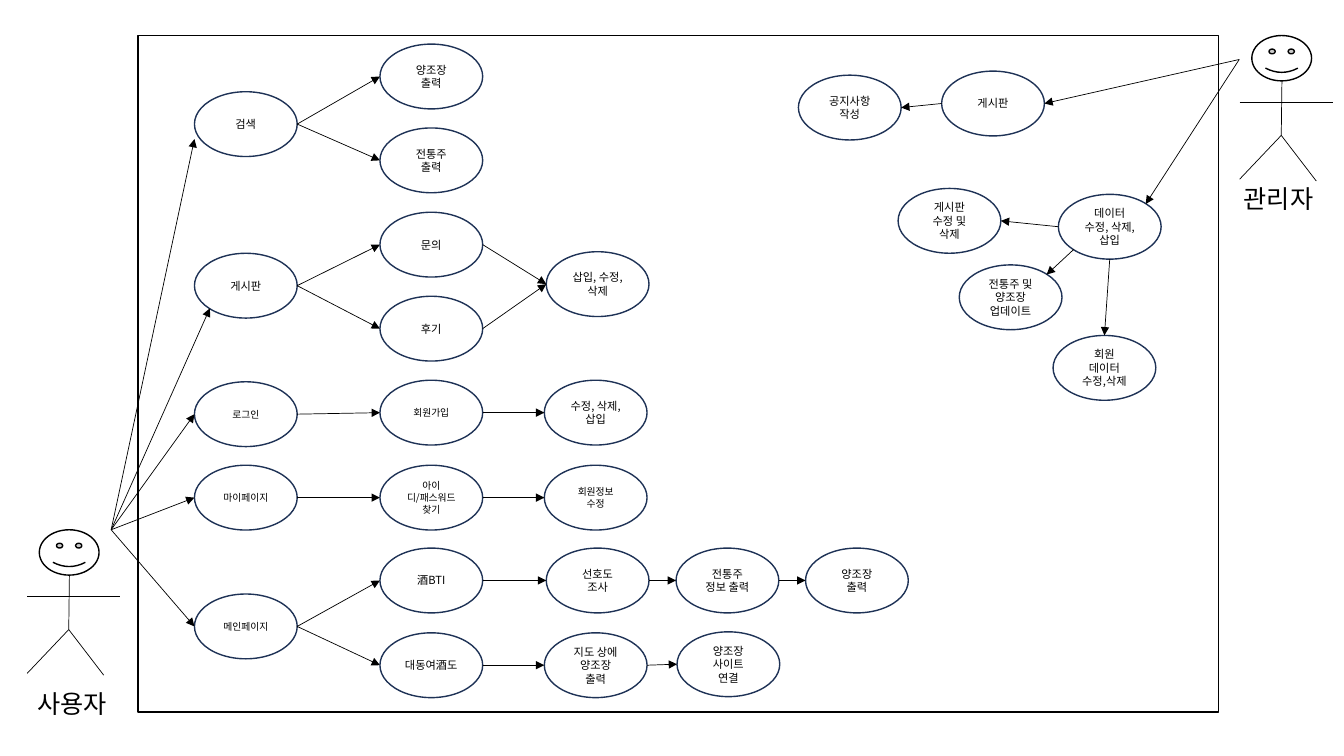
from dataclasses import dataclass

from lxml.etree import SubElement
from pptx import Presentation
from pptx.dml.color import RGBColor
from pptx.enum.shapes import MSO_CONNECTOR as Connector, MSO_SHAPE as Shape
from pptx.enum.text import MSO_ANCHOR as Anchor, MSO_AUTO_SIZE as AutoSize, PP_ALIGN as Align
from pptx.oxml.ns import qn
from pptx.util import Pt


@dataclass(frozen=True)
class Theme:
    """Colours, font, type sizes and line weights."""
    ink: RGBColor = RGBColor(0x00, 0x00, 0x00)
    navy: RGBColor = RGBColor(0x1E, 0x32, 0x56)
    paper: RGBColor = RGBColor(0xFF, 0xFF, 0xFF)
    font: str = "Noto Sans CJK KR"
    actor: int = 18
    case: int = 8
    small: int = 7
    outline: float = 1
    link: float = 0.5


theme = Theme()
OVAL_W, OVAL_H = 73.4, 46.3

deck = Presentation()
deck.slide_width, deck.slide_height = Pt(960), Pt(540)
page = deck.slides.add_slide(deck.slide_layouts[6])


def draw_line(shapes, start, end, arrow=False):
    """Draw a thin line between two points, with an optional arrowhead."""
    line = shapes.add_connector(Connector.STRAIGHT, *map(Pt, (*start, *end)))
    line.line.color.rgb = theme.ink
    line.line.width = Pt(theme.link)
    if arrow:
        SubElement(line.line._get_or_add_ln(), qn("a:tailEnd"), type="triangle")
    SubElement(line._element.spPr, qn("a:effectLst"))


def draw_shape(shapes, kind, bounds, edge, text="", size=theme.case):
    """Draw a white outlined shape or, with no kind, a text box, and write its text."""
    bounds = map(Pt, bounds)
    if kind is None:
        box = shapes.add_textbox(*bounds)
        box.text_frame.auto_size = AutoSize.SHAPE_TO_FIT_TEXT
    else:
        box = shapes.add_shape(kind, *bounds)
        box.shadow.inherit = False
        box.fill.solid()
        box.fill.fore_color.rgb = theme.paper
        box.line.color.rgb = edge
        box.line.width = Pt(theme.outline)
        box.text_frame.vertical_anchor = Anchor.MIDDLE
    frame = box.text_frame
    frame.word_wrap = True
    for number, words in enumerate(text.split("\n") if text else []):
        para = frame.add_paragraph() if number else frame.paragraphs[0]
        para.alignment = Align.CENTER
        span = para.add_run()
        span.text = words
        span.font.name = theme.font
        span.font.size = Pt(size)
        span.font.color.rgb = theme.ink
        SubElement(span.font._element, qn("a:ea"), typeface=theme.font)


# System boundary
draw_shape(page.shapes, Shape.RECTANGLE, (98.6, 25.4, 771.8, 483.1), theme.ink)

# Actors: head position, name, label position
limbs = [
    ((-8.7, 47.4), (57.8, 47.4)),
    ((21.5, 32.4), (21, 71.3)),
    ((21, 71.3), (-8.7, 102.6)),
    ((21, 71.3), (46, 103.9)),
]
actors = [
    (28.1, 378.4, "사용자", 13, 488.2),
    (894.2, 25.4, "관리자", 874.8, 127.4),
]
for head_x, head_y, name, label_x, label_y in actors:
    figure = page.shapes.add_group_shape()
    for start, end in limbs:
        draw_line(figure.shapes, (head_x + start[0], head_y + start[1]),
                  (head_x + end[0], head_y + end[1]))
    draw_shape(figure.shapes, Shape.SMILEY_FACE, (head_x, head_y, 42.7, 32.4), theme.ink)
    draw_shape(page.shapes, None, (label_x, label_y, 77, 29), None, name, theme.actor)

# Use cases: left, top, text, type size
MENU, ACTION, DETAIL = 138.9, 271.4, 388.8
cases = {
    "search": (MENU, 65.5, "검색", theme.case),
    "board": (MENU, 180.9, "게시판", theme.case),
    "login": (MENU, 272.7, "로그인", theme.small),
    "my page": (MENU, 332.3, "마이페이지", theme.small),
    "main page": (MENU, 424.3, "메인페이지", theme.small),
    "brewery": (ACTION, 31.5, "양조장\n출력", theme.case),
    "liquor": (ACTION, 91.4, "전통주\n출력", theme.case),
    "question": (ACTION, 151.6, "문의", theme.case),
    "review": (ACTION, 211.6, "후기", theme.case),
    "sign up": (ACTION, 271.6, "회원가입", theme.small),
    "find account": (ACTION, 332.3, "아이디/패스워드 찾기", theme.small),
    "bti": (ACTION, 391.5, "酒BTI", theme.case),
    "map": (ACTION, 452, "대동여酒도", theme.case),
    "edit post": (390.2, 179.8, "삽입, 수정, 삭제", theme.case),
    "edit account": (DETAIL, 271.6, "수정, 삭제, 삽입", theme.case),
    "edit member": (DETAIL, 332.3, "회원정보 수정", theme.small),
    "survey": (390.2, 391.5, "선호도 조사", theme.case),
    "map brewery": (DETAIL, 452, "지도 상에 양조장 출력", theme.case),
    "liquor info": (482.9, 391.5, "전통주\n정보 출력", theme.case),
    "brewery site": (483.6, 451.3, "양조장 사이트 연결", theme.case),
    "bti brewery": (575.4, 391.5, "양조장\n출력", theme.case),
    "admin board": (672.6, 50.8, "게시판", theme.case),
    "notice": (570.3, 53.7, "공지사항 작성", theme.case),
    "data": (756, 138.8, "데이터 수정, 삭제, 삽입", theme.case),
    "board data": (641.5, 134.6, "게시판 수정 및 삭제", theme.case),
    "liquor data": (685.2, 189.2, "전통주 및 양조장 업데이트", theme.case),
    "member data": (752.2, 239.6, "회원 데이터 수정,삭제", theme.case),
}
for left, top, text, size in cases.values():
    draw_shape(page.shapes, Shape.OVAL, (left, top, OVAL_W, OVAL_H), theme.navy, text, size)

# Points on an oval, as shares of its width and height
sites = {
    "left": (0, 0.5), "right": (1, 0.5), "top": (0.5, 0), "bottom": (0.5, 1),
    "top right": (0.85, 0.15), "bottom left": (0.15, 0.85), "low left": (0, 0.73),
}
anchors = {
    (case, site): (left + share_x * OVAL_W, top + share_y * OVAL_H)
    for case, (left, top, *_) in cases.items()
    for site, (share_x, share_y) in sites.items()
}

# Actors to use cases
user_hand, admin_hand = (79.4, 378.4), (885.2, 42.5)
actor_links = [
    (user_hand, "search", "low left"),
    (user_hand, "board", "bottom left"),
    (user_hand, "login", "left"),
    (user_hand, "my page", "left"),
    (user_hand, "main page", "left"),
    (admin_hand, "admin board", "right"),
    (admin_hand, "data", "top right"),
]
for hand, case, site in actor_links:
    draw_line(page.shapes, hand, anchors[case, site], arrow=True)

# User flows run left to right
user_flows = [
    ("search", "brewery"), ("search", "liquor"),
    ("board", "question", "edit post"), ("board", "review", "edit post"),
    ("login", "sign up", "edit account"),
    ("my page", "find account", "edit member"),
    ("main page", "bti", "survey", "liquor info", "bti brewery"),
    ("main page", "map", "map brewery", "brewery site"),
]
for flow in user_flows:
    for source, target in zip(flow, flow[1:]):
        draw_line(page.shapes, anchors[source, "right"], anchors[target, "left"], arrow=True)

# Admin flows leave from different sides
admin_links = [
    ("admin board", "left", "notice", "right"),
    ("data", "left", "board data", "right"),
    ("data", "bottom left", "liquor data", "top right"),
    ("data", "bottom", "member data", "top"),
]
for source, exit_site, target, entry_site in admin_links:
    draw_line(page.shapes, anchors[source, exit_site], anchors[target, entry_site], arrow=True)

deck.save("out.pptx")
